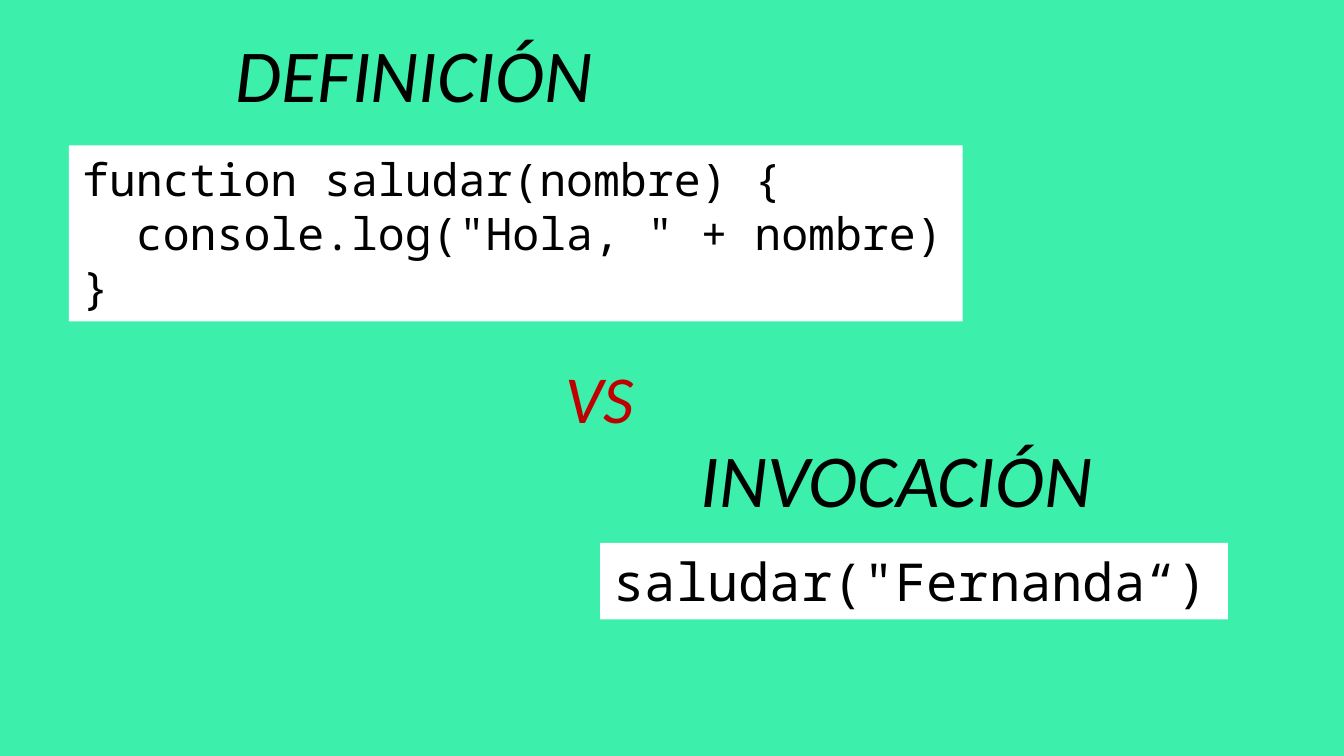
from dataclasses import dataclass

from pptx import Presentation
from pptx import util as u
from pptx.dml.color import RGBColor
from pptx.enum import shapes, text

SLIDE_W = u.Inches(10)
SLIDE_H = SLIDE_W * 9 // 16
MINT, WHITE, BLACK, RED = "3CEFAB", "FFFFFF", "000000", "C00000"
HEADING_FONT, CODE_FONT = "Calibri", "Noto Sans Mono"


@dataclass
class Area:
    """A rectangle in percent of the slide's width and height."""
    left: float
    top: float
    width: float
    height: float

    def box(self) -> tuple[int, int, int, int]:
        return (int(SLIDE_W * self.left / 100), int(SLIDE_H * self.top / 100),
                int(SLIDE_W * self.width / 100), int(SLIDE_H * self.height / 100))


@dataclass
class Heading:
    words: str
    area: Area
    size: int = 40
    color: str = BLACK


@dataclass
class Code:
    lines: list[str]
    area: Area
    size: int


def rgb(value: str) -> RGBColor:
    return RGBColor.from_string(value)


def add_run(paragraph, words: str, font: str, size: int, color: str, italic: bool = False) -> None:
    run = paragraph.add_run()
    run.text = words
    run.font.name, run.font.size, run.font.italic = font, u.Pt(size), italic
    run.font.color.rgb = rgb(color)


def format_heading(shape, heading: Heading) -> None:
    shape.left, shape.top, shape.width, shape.height = heading.area.box()
    frame = shape.text_frame
    frame.word_wrap = True
    frame.auto_size = text.MSO_AUTO_SIZE.NONE
    frame.vertical_anchor = text.MSO_ANCHOR.MIDDLE
    frame.margin_left = frame.margin_right = u.Inches(0.1)
    frame.margin_top = frame.margin_bottom = u.Inches(0.1)
    paragraph = frame.paragraphs[0]
    paragraph.alignment = text.PP_ALIGN.CENTER
    add_run(paragraph, heading.words, HEADING_FONT, heading.size, heading.color, italic=True)


def add_code(slide, code: Code) -> None:
    panel = slide.shapes.add_shape(shapes.MSO_SHAPE.RECTANGLE, *code.area.box())
    panel.shadow.inherit = False
    panel.fill.solid()
    panel.fill.fore_color.rgb = rgb(WHITE)
    panel.line.fill.background()
    frame = panel.text_frame
    frame.word_wrap = False
    frame.auto_size = text.MSO_AUTO_SIZE.SHAPE_TO_FIT_TEXT
    frame.vertical_anchor = text.MSO_ANCHOR.TOP
    for number, line in enumerate(code.lines):
        paragraph = frame.add_paragraph() if number else frame.paragraphs[0]
        paragraph.alignment = text.PP_ALIGN.LEFT
        add_run(paragraph, line, CODE_FONT, code.size, BLACK)


# Content
definition = Heading("DEFINICIÓN", Area(1.8, 0, 58, 19.2))
invocation = Heading("INVOCACIÓN", Area(37.7, 53.56, 58, 19.2))
versus = Heading("VS", Area(9.9, 42.8, 69.4, 19.2), size=36, color=RED)
function_code = Code(
    ["function saludar(nombre) {", '  console.log("Hola, " + nombre)', "}"],
    Area(5.13, 19.23, 66.5, 23.29), size=24)
call_code = Code(['saludar("Fernanda“)'], Area(44.66, 71.82, 46.7, 10.13), size=28)


def main() -> None:
    deck = Presentation()
    deck.slide_width, deck.slide_height = SLIDE_W, SLIDE_H
    slide = deck.slides.add_slide(deck.slide_layouts.get_by_name("Title Only"))
    slide.background.fill.solid()
    slide.background.fill.fore_color.rgb = rgb(MINT)

    # Code panels
    for code in (function_code, call_code):
        add_code(slide, code)

    # Headings: the first is the slide's title
    format_heading(slide.shapes.title, definition)
    for heading in (invocation, versus):
        format_heading(slide.shapes.add_textbox(*heading.area.box()), heading)

    deck.save("out.pptx")


if __name__ == "__main__":
    main()
